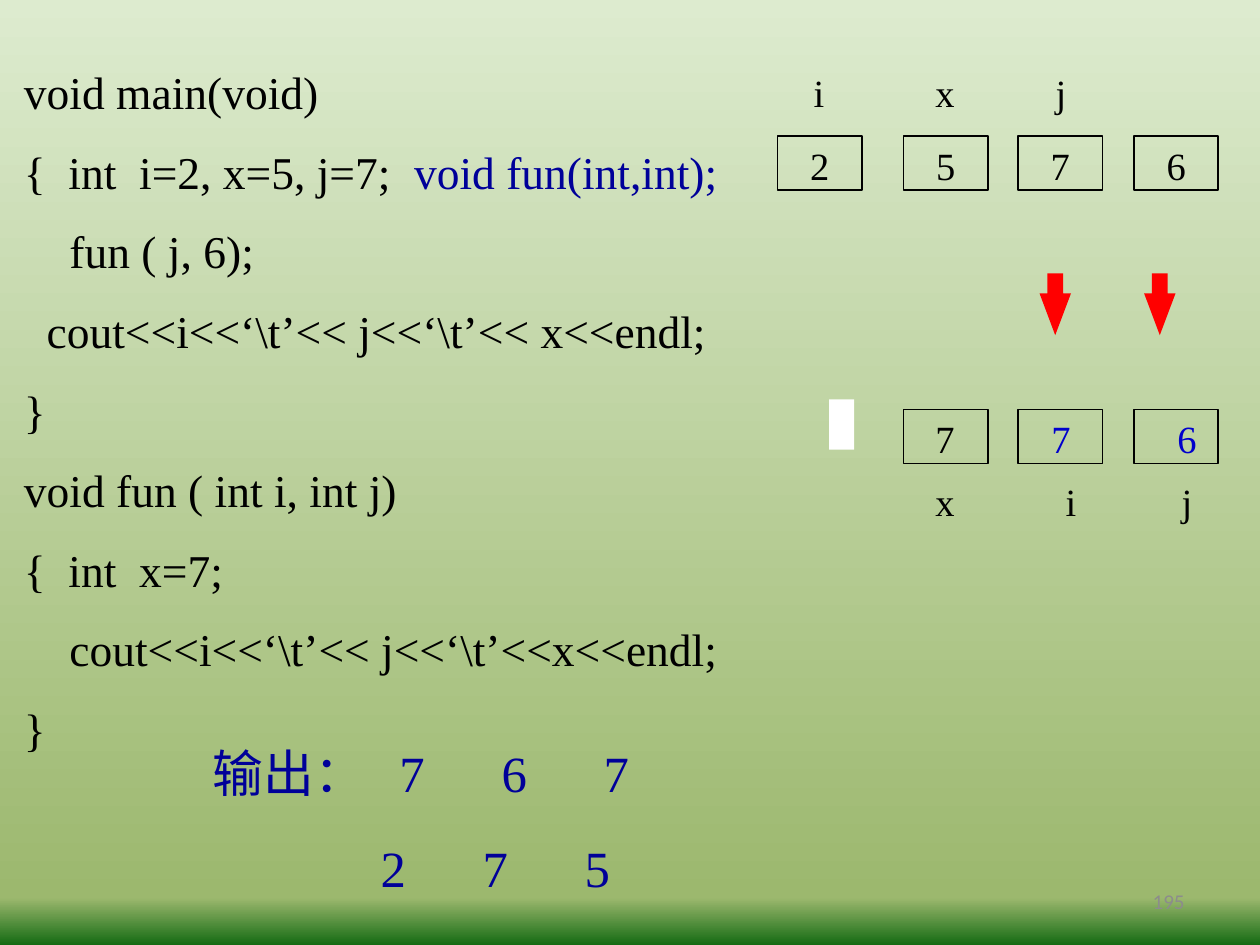
from copy import deepcopy
from lxml.etree import SubElement
from pptx import Presentation
from pptx.dml.color import RGBColor
from pptx.enum.shapes import MSO_SHAPE
from pptx.enum.text import MSO_ANCHOR, PP_ALIGN
from pptx.oxml.ns import qn
from pptx.util import Inches, Pt

BLACK = RGBColor(0x00, 0x00, 0x00)
WHITE = RGBColor(0xFF, 0xFF, 0xFF)
RED = RGBColor(0xFF, 0x00, 0x00)
NAVY = RGBColor(0x00, 0x00, 0x99)
BLUE = RGBColor(0x00, 0x00, 0xCC)
GREY = RGBColor(0x8C, 0x8C, 0x8C)
SKY = [(0, RGBColor(0xDD, 0xEB, 0xCF)), (0.95, RGBColor(0x9C, 0xB8, 0x6E)),
       (1, RGBColor(0x15, 0x6B, 0x13))]

prs = Presentation()
prs.slide_width, prs.slide_height = Inches(10), Inches(7.5)
slide = prs.slides.add_slide(prs.slide_layouts[6])
shapes = slide.shapes

# Background: three gradient stops, running downwards
back = slide.background.fill
back.gradient()
back.gradient_angle = 270
first = next(slide.element.iter(qn("a:gs")))
first.addnext(deepcopy(first))
for stop, (place, color) in zip(back.gradient_stops, SKY):
    stop.position = place
    stop.color.rgb = color


def write(shape, lines, size, color, align=PP_ALIGN.LEFT, gap=0, spacing=1.1,
          font="Times New Roman"):
    """Fill a shape with paragraphs, gap points apart; each line is a list of (text, color) runs or a string."""
    frame = shape.text_frame
    frame.word_wrap = True
    frame.vertical_anchor = MSO_ANCHOR.TOP
    frame.margin_left = frame.margin_right = Inches(0.02)
    frame.margin_top = frame.margin_bottom = Inches(0.01)
    for i, line in enumerate(lines):
        par = frame.paragraphs[0] if i == 0 else frame.add_paragraph()
        par.alignment = align
        par.line_spacing = spacing
        if i:
            par.space_before = Pt(gap)
        for text, tint in [(line, color)] if isinstance(line, str) else line:
            run = par.add_run()
            run.text = text
            run.font.size = Pt(size)
            run.font.name = font
            run.font.color.rgb = tint
    return frame


def draw(kind, left, top, width, height, fill=None):
    """Add a shape that is either filled or has a black outline."""
    shape = shapes.add_shape(kind, Inches(left), Inches(top), Inches(width), Inches(height))
    shape.shadow.inherit = False
    if fill is None:
        shape.fill.background()
        shape.line.color.rgb = BLACK
        shape.line.width = Pt(1)
    else:
        shape.fill.solid()
        shape.fill.fore_color.rgb = fill
        shape.line.fill.background()
    return shape


# Page number
page = shapes.add_textbox(Inches(7.17), Inches(6.95), Inches(2.33), Inches(0.4))
frame = write(page, ["195"], 12, GREY, PP_ALIGN.RIGHT, spacing=1, font="Calibri")
frame.vertical_anchor = MSO_ANCHOR.MIDDLE
frame.margin_right = Inches(0.1)

# Program
code = [
    "void main(void)",
    [("{  int  i=2, x=5, j=7;  ", BLACK), ("void fun(int,int);", NAVY)],
    "    fun ( j, 6);",
    "  cout<<i<<‘\\t’<< j<<‘\\t’<< x<<endl;",
    "}",
    "void fun ( int i, int j)",
    "{  int  x=7;",
    "    cout<<i<<‘\\t’<< j<<‘\\t’<<x<<endl;",
    "}",
]
box = shapes.add_textbox(Inches(0.17), Inches(0.5), Inches(7.17), Inches(5.71))
write(box, code, 26, BLACK, gap=14.3, spacing=1)

# Memory cells of main (top row) and fun (bottom row)
cols = [6.17, 7.17, 8.08, 9]
for left, value in zip(cols, "2576"):
    cell = draw(MSO_SHAPE.RECTANGLE, left, 1.08, 0.67, 0.43)
    write(cell, [value], 22, BLACK, PP_ALIGN.CENTER)
for left in cols[1:]:
    draw(MSO_SHAPE.RECTANGLE, left, 3.25, 0.67, 0.43)

# Names and passed values
labels = [
    ("i", 6.25, 0.5, BLACK), ("x", 7.25, 0.5, BLACK), ("j", 8.17, 0.5, BLACK),
    ("7", 7.25, 3.25, BLACK), ("7", 8.17, 3.25, BLUE), ("6", 9.17, 3.25, BLUE),
    ("x", 7.25, 3.75, BLACK), ("i", 8.25, 3.75, BLACK), ("j", 9.17, 3.75, BLACK),
]
for text, left, top, color in labels:
    label = shapes.add_textbox(Inches(left), Inches(top), Inches(0.5), Inches(0.43))
    write(label, [text], 22, color, PP_ALIGN.CENTER)

for left in (8.25, 9.08):
    arrow = draw(MSO_SHAPE.DOWN_ARROW, left, 2.17, 0.25, 0.49, RED)
    arrow.adjustments[0] = 0.5
    arrow.adjustments[1] = 1.33

# Output, with the numbers set on tab stops
result = shapes.add_textbox(Inches(1.67), Inches(5.83), Inches(5.08), Inches(1.34))
frame = write(result, ["输出：\t7\t6\t7", "\t2\t7\t5"], 29, NAVY, gap=16)
for par, start in zip(frame.paragraphs, (1.48, 1.33)):
    tabs = SubElement(par._p.get_or_add_pPr(), qn("a:tabLst"))
    for n in range(3):
        SubElement(tabs, qn("a:tab"), pos=str(Inches(start + 0.81 * n)), algn="l")

draw(MSO_SHAPE.RECTANGLE, 6.58, 3.17, 0.2, 0.4, WHITE)

prs.save("out.pptx")
